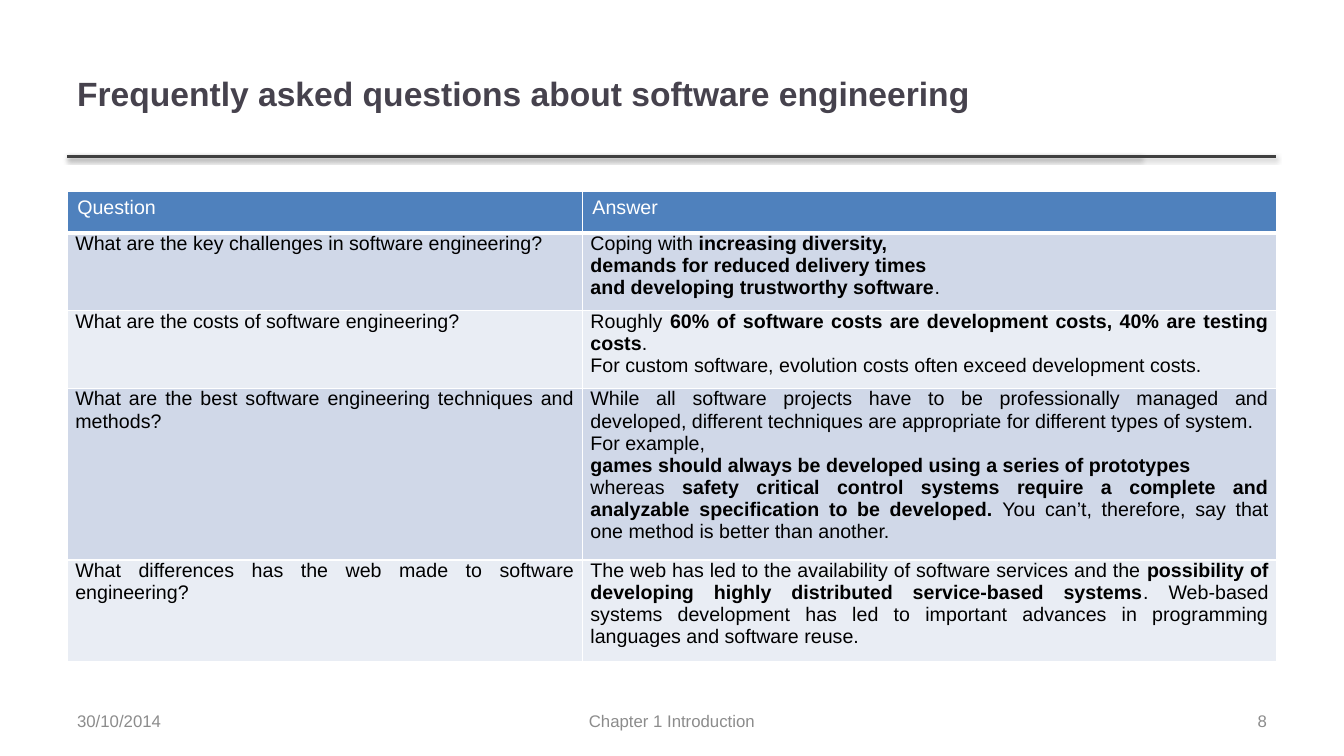
from dataclasses import dataclass

from lxml.etree import SubElement
from pptx import Presentation
from pptx.dml.color import RGBColor
from pptx.enum.shapes import MSO_CONNECTOR as Connector
from pptx.enum.text import MSO_ANCHOR as Anchor, PP_ALIGN as Align
from pptx.oxml.ns import qn
from pptx.util import Inches, Pt


@dataclass(frozen=True)
class Theme:
    font: str = "Arial"
    title_size: int = 24
    table_size: int = 14
    footer_size: int = 12
    title: str = "46424D"
    footer: str = "8C8C8C"
    rule: str = "404040"
    shadow: str = "000000"
    header: str = "4F81BD"
    header_text: str = "FFFFFF"
    body_text: str = "000000"
    border: str = "FFFFFF"
    bands: tuple = ("D0D8E8", "E9EDF4")


COLUMNS, ROWS = 60, 150
WIDTH, HEIGHT = Inches(13.33), Inches(7.5)
MARGIN, FULL = 3, 54
FOOTER_TOP, FOOTER_HEIGHT = 139, 8

# Each answer is a list of paragraphs; ** switches bold on and off.
FAQ = [
    ("What are the key challenges in software engineering?",
     ["Coping with **increasing diversity,**",
      "**demands for reduced delivery times**",
      "**and developing trustworthy software**."]),
    ("What are the costs of software engineering?",
     ["Roughly **60% of software costs are development costs, 40% are testing costs**.",
      "For custom software, evolution costs often exceed development costs."]),
    ("What are the best software engineering techniques and methods?",
     ["While all software projects have to be professionally managed and developed, "
      "different techniques are appropriate for different types of system.",
      "For example,",
      "**games should always be developed using a series of prototypes**",
      "whereas **safety critical control systems require a complete and analyzable "
      "specification to be developed.** You can’t, therefore, say that one method is "
      "better than another."]),
    ("What differences has the web made to software engineering?",
     ["The web has led to the availability of software services and the **possibility of "
      "developing highly distributed service-based systems**. Web-based systems development "
      "has led to important advances in programming languages and software reuse."]),
]


def across(columns):
    return round(WIDTH * columns / COLUMNS)


def down(rows):
    return round(HEIGHT * rows / ROWS)


def add_color(parent, color):
    fill = SubElement(parent, qn("a:solidFill"))
    SubElement(fill, qn("a:srgbClr"), val=color)


class SlideBuilder:
    def __init__(self, presentation, theme):
        self.theme = theme
        self.slide = presentation.slides.add_slide(presentation.slide_layouts[6])

    def fill_frame(self, frame, paragraphs, size, color, align, bold=False):
        """Put paragraphs in a text frame; ** in a paragraph flips its bold."""
        for index, text in enumerate(paragraphs):
            paragraph = frame.add_paragraph() if index else frame.paragraphs[0]
            paragraph.alignment = align
            for part, words in enumerate(text.split("**")):
                if not words:
                    continue
                run = paragraph.add_run()
                run.text = words
                run.font.color.rgb = RGBColor.from_string(color)
                style = {"name": self.theme.font, "size": Pt(size),
                         "bold": bold or part % 2 == 1}
                for name, value in style.items():
                    setattr(run.font, name, value)

    def text(self, left, top, width, height, words, size, color, align=Align.LEFT, bold=False):
        box = self.slide.shapes.add_textbox(across(left), down(top), across(width), down(height))
        frame = box.text_frame
        frame.word_wrap = True
        frame.vertical_anchor = Anchor.MIDDLE
        self.fill_frame(frame, [words], size, color, align, bold)

    def rule(self, left, right, top):
        """Draw a horizontal line with a soft shadow below it."""
        line = self.slide.shapes.add_connector(
            Connector.STRAIGHT, across(left), down(top), across(right), down(top))
        line.line.color.rgb = RGBColor.from_string(self.theme.rule)
        line.line.width = Pt(2)
        effects = SubElement(line._element.spPr, qn("a:effectLst"))
        shadow = SubElement(effects, qn("a:outerShdw"), blurRad=str(Pt(3.1)),
                            dist=str(Pt(1.6)), dir="5400000", rotWithShape="0")
        color = SubElement(shadow, qn("a:srgbClr"), val=self.theme.shadow)
        SubElement(color, qn("a:alpha"), val="38000")

    def cell(self, cell, paragraphs, fill, color, align, bottom=1):
        properties = cell._tc.get_or_add_tcPr()
        for side, points in {"L": 1, "R": 1, "T": 1, "B": bottom}.items():
            border = SubElement(properties, qn(f"a:ln{side}"), w=str(Pt(points)))
            add_color(border, self.theme.border)
        cell.fill.solid()
        cell.fill.fore_color.rgb = RGBColor.from_string(fill)
        self.fill_frame(cell.text_frame, paragraphs, self.theme.table_size, color, align)

    def table(self, left, top, widths, row_height, headings, entries):
        theme = self.theme
        count = len(entries) + 1
        table = self.slide.shapes.add_table(
            count, len(widths), across(left), down(top),
            across(sum(widths)), down(row_height * count)).table
        for column, width in zip(table.columns, widths):
            column.width = across(width)
        for cell, heading in zip(table.rows[0].cells, headings):
            self.cell(cell, [heading], theme.header, theme.header_text, Align.LEFT, bottom=3)
        margins = {"margin_left": Inches(0.08), "margin_top": 0,
                   "margin_right": Inches(0.08), "margin_bottom": Inches(0.07)}
        for index, (question, answer) in enumerate(entries):
            band = theme.bands[index % len(theme.bands)]
            for cell, paragraphs in zip(table.rows[index + 1].cells, ([question], answer)):
                for name, value in margins.items():
                    setattr(cell, name, value)
                self.cell(cell, paragraphs, band, theme.body_text, Align.JUSTIFY)


def main():
    presentation = Presentation()
    presentation.slide_width, presentation.slide_height = WIDTH, HEIGHT
    theme = Theme()
    builder = SlideBuilder(presentation, theme)

    for right in (50.95, 56.95):
        builder.rule(MARGIN, right, 31)
    builder.text(MARGIN, 6, 47.85, 25, "Frequently asked questions about software engineering",
                 theme.title_size, theme.title, bold=True)
    builder.table(MARGIN, 38, (23, 31), 8.2, ("Question", "Answer"), FAQ)

    footers = [
        (20.5, 19, "Chapter 1 Introduction", Align.CENTER),
        (MARGIN, 14, "30/10/2014", Align.LEFT),
        (MARGIN + FULL - 14, 14, "8", Align.RIGHT),
    ]
    for left, width, words, align in footers:
        builder.text(left, FOOTER_TOP, width, FOOTER_HEIGHT, words,
                     theme.footer_size, theme.footer, align)

    presentation.save("out.pptx")


if __name__ == "__main__":
    main()
